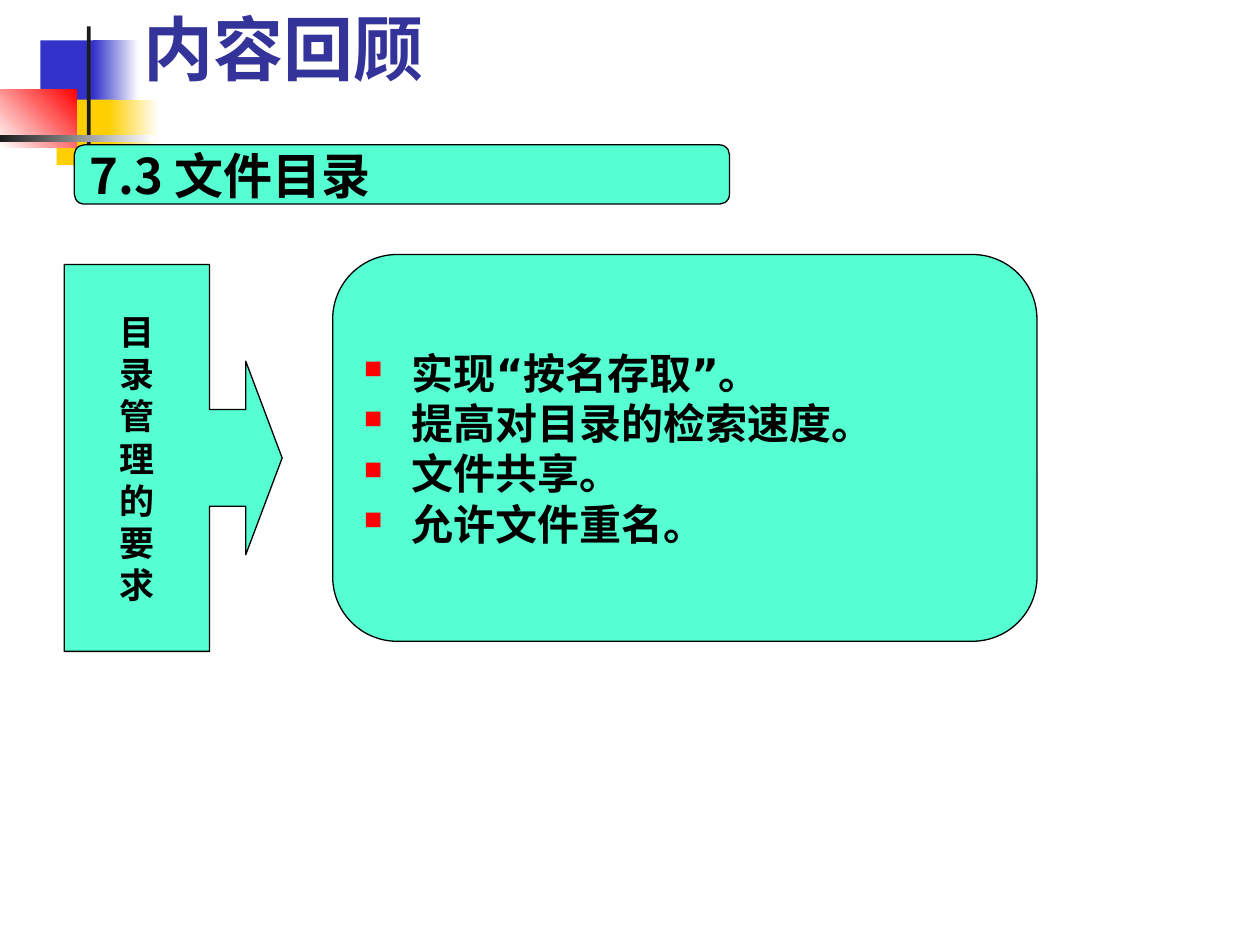
import pptx
import pptx.util
from pptx.dml.color import RGBColor
from pptx.enum.shapes import MSO_SHAPE
from pptx.enum.text import MSO_ANCHOR, PP_ALIGN
from pptx.oxml.ns import qn
from pptx.util import Inches, Pt
from lxml import etree

BLUE = RGBColor(0x33, 0x33, 0xCC)
YELLOW = RGBColor(0xFF, 0xCF, 0x01)
RED = RGBColor(0xFF, 0x00, 0x00)
DARK = RGBColor(0x1C, 0x1C, 0x1C)
WHITE = RGBColor(0xFF, 0xFF, 0xFF)
BLACK = RGBColor(0x00, 0x00, 0x00)
NAVY = RGBColor(0x33, 0x33, 0x99)
MINT = RGBColor(0x56, 0xFF, 0xD2)


def set_font(font, size, name, color=BLACK):
    font.size, font.name, font.bold = Pt(size), name, True
    font.color.rgb = color
    # East Asian text takes the same typeface
    latin = font._element.find(qn("a:latin"))
    ea = etree.Element(qn("a:ea"), typeface=name)
    latin.addnext(ea)


def add_block(s, kind, box, adjustments=()):
    sp = s.shapes.add_shape(kind, *[Inches(v) for v in box])
    sp.shadow.inherit = False
    for i, value in enumerate(adjustments):
        sp.adjustments[i] = value
    return sp


def add_bar(s, box, start, end=None, angle=0):
    sp = add_block(s, MSO_SHAPE.RECTANGLE, box)
    sp.line.fill.background()
    if end is None:
        sp.fill.solid()
        sp.fill.fore_color.rgb = start
        return
    sp.fill.gradient()
    sp.fill.gradient_angle = angle
    for stop, color in zip(sp.fill.gradient_stops, (start, end)):
        stop.color.rgb = color


def add_panel(s, kind, box, adjustments, lines, size, name,
              align=PP_ALIGN.LEFT, wrap=False):
    sp = add_block(s, kind, box, adjustments)
    sp.fill.solid()
    sp.fill.fore_color.rgb = MINT
    sp.line.color.rgb = BLACK
    sp.line.width = Pt(0.74)
    tf = sp.text_frame
    tf.word_wrap = wrap
    tf.vertical_anchor = MSO_ANCHOR.MIDDLE
    tf.margin_top = tf.margin_bottom = 0
    tf.text = "\n".join(lines)
    for p in tf.paragraphs:
        p.alignment = align
        set_font(p.font, size, name)
    return sp


def add_bullet(p):
    pPr = p._p.get_or_add_pPr()
    pPr.set("marL", str(Inches(0.38)))
    pPr.set("indent", str(-Inches(0.38)))
    color = etree.Element(qn("a:buClr"))
    etree.SubElement(color, qn("a:srgbClr"), val=str(RED))
    size = etree.Element(qn("a:buSzPct"), val="60000")
    char = etree.Element(qn("a:buChar"), char="■")
    for i, element in enumerate((color, size, char)):
        pPr.insert(i, element)


def main():
    prs = pptx.Presentation()
    prs.slide_width, prs.slide_height = Inches(10), Inches(7.5)
    s = prs.slides.add_slide(prs.slide_layouts[5])

    # Corner decoration
    add_bar(s, (0.32, 0.32, 0.48, 0.52), BLUE)
    add_bar(s, (0.74, 0.32, 0.36, 0.52), BLUE, WHITE)
    add_bar(s, (0.45, 0.79, 0.46, 0.52), YELLOW)
    add_bar(s, (0.86, 0.79, 0.4, 0.52), YELLOW, WHITE)
    add_bar(s, (0, 0.71, 0.61, 0.46), WHITE, RED, 45)
    add_bar(s, (0.69, 0.21, 0.03, 1.15), DARK)
    add_bar(s, (0, 1.07, 1.22, 0.06), DARK, WHITE)

    # Title, in front of the decoration
    title = s.shapes.title
    s.shapes._spTree.append(title._element)
    title.left, title.top = Inches(1.04), Inches(0.07)
    title.width, title.height = Inches(9), Inches(0.69)
    tf = title.text_frame
    tf.text = "内容回顾"
    tf.vertical_anchor = MSO_ANCHOR.BOTTOM
    tf.paragraphs[0].alignment = PP_ALIGN.LEFT
    set_font(tf.paragraphs[0].font, 40, "Lato", NAVY)

    # Section heading
    add_panel(s, MSO_SHAPE.ROUNDED_RECTANGLE, (0.59, 1.15, 5.2, 0.47),
              [0.167], ["7.3 文件目录"], 28, "Noto Sans CJK SC")

    # Callout with one character a line
    add_panel(s, MSO_SHAPE.RIGHT_ARROW_CALLOUT, (0.51, 2.1, 1.73, 3.07),
              [0.444, 0.444, 0.167, 0.667], list("目录管理的要求"), 20,
              "DejaVu Sans", PP_ALIGN.CENTER, True)

    # Requirements
    goals = ["实现“按名存取”。", "提高对目录的检索速度。", "文件共享。", "允许文件重名。"]
    panel = add_panel(s, MSO_SHAPE.ROUNDED_RECTANGLE, (2.64, 2.02, 5.59, 3.07),
                      [0.167], goals, 24, "DejaVu Sans")
    for p in panel.text_frame.paragraphs:
        add_bullet(p)

    prs.save("out.pptx")


main()
